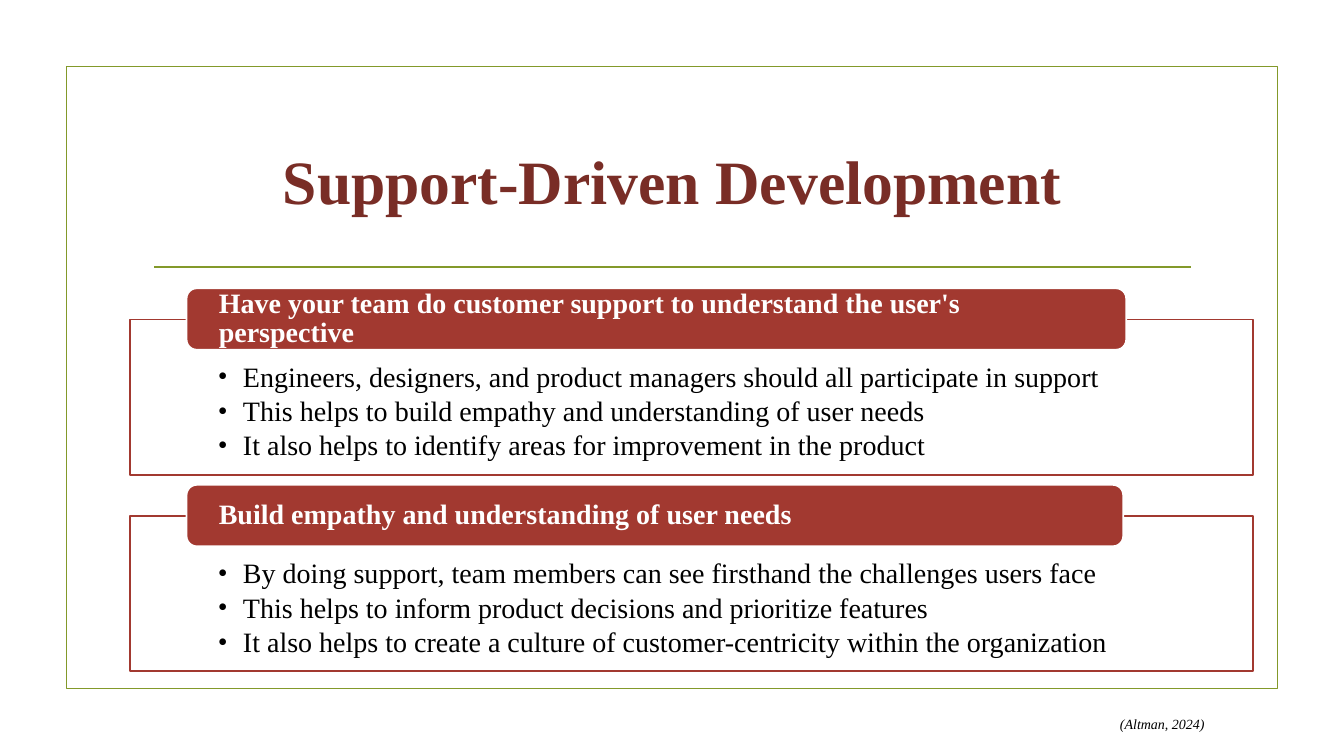
from lxml.etree import SubElement
from pptx import Presentation
from pptx.dml.color import RGBColor
from pptx.enum.shapes import MSO_CONNECTOR, MSO_SHAPE
from pptx.enum.text import MSO_ANCHOR, PP_ALIGN
from pptx.oxml.ns import qn
from pptx.util import Inches, Pt

COLORS = {
    "green": "83992A",
    "title": "792D26",
    "red": "A23930",
    "white": "FFFFFF",
    "black": "000000",
}
FONT = "Times New Roman"
LINE_WIDTH = Pt(1.25)
SECTION_TOP = 2.86
SECTION_STEP = 1.95
SECTIONS = [
    (
        "Have your team do customer support to understand the user's perspective",
        9.32,
        [
            "Engineers, designers, and product managers should all participate in support",
            "This helps to build empathy and understanding of user needs",
            "It also helps to identify areas for improvement in the product",
        ],
    ),
    (
        "Build empathy and understanding of user needs",
        9.29,
        [
            "By doing support, team members can see firsthand the challenges users face",
            "This helps to inform product decisions and prioritize features",
            "It also helps to create a culture of customer-centricity within the organization",
        ],
    ),
]


def rgb(name):
    """Return the named colour."""
    return RGBColor.from_string(COLORS[name])


def style_font(paragraph, size, color, bold=False, italic=False):
    """Set the font of a whole paragraph."""
    font = paragraph.font
    font.name, font.size = FONT, Pt(size)
    font.bold, font.italic = bold, italic
    font.color.rgb = rgb(color)


def set_frame(shape, anchor, left, top, right, bottom):
    """Set wrapping, anchor and insets, and return the text frame."""
    frame = shape.text_frame
    frame.word_wrap = True
    frame.vertical_anchor = anchor
    frame.margin_left, frame.margin_top = Inches(left), Inches(top)
    frame.margin_right, frame.margin_bottom = Inches(right), Inches(bottom)
    return frame


def add_box(slide, kind, left, top, width, height, line, fill=None):
    """Add a preset shape with an outline and an optional fill."""
    shape = slide.shapes.add_shape(
        kind, Inches(left), Inches(top), Inches(width), Inches(height)
    )
    shape.shadow.inherit = False
    shape.line.color.rgb = rgb(line)
    shape.line.width = LINE_WIDTH
    if fill:
        shape.fill.solid()
        shape.fill.fore_color.rgb = rgb(fill)
    else:
        shape.fill.background()
    return shape


def add_rule(slide, left, right, y):
    """Add the horizontal line under the title."""
    rule = slide.shapes.add_connector(
        MSO_CONNECTOR.STRAIGHT, Inches(left), Inches(y), Inches(right), Inches(y)
    )
    rule.line.color.rgb = rgb("green")
    rule.line.width = LINE_WIDTH
    SubElement(rule._element.spPr, qn("a:effectLst"))


def add_label(slide, text, left, top, width, height, anchor, inset, align, **font):
    """Add a text box with one paragraph."""
    box = slide.shapes.add_textbox(
        Inches(left), Inches(top), Inches(width), Inches(height)
    )
    frame = set_frame(box, anchor, 0.1, inset, 0.1, inset)
    paragraph = frame.paragraphs[0]
    paragraph.text = text
    paragraph.alignment = align
    style_font(paragraph, **font)


def add_bullet(paragraph):
    """Give a paragraph a black bullet and a hanging indent."""
    properties = paragraph._p.get_or_add_pPr()
    properties.set("marL", str(Inches(0.25)))
    properties.set("indent", str(Inches(-0.25)))
    color = SubElement(properties, qn("a:buClr"))
    SubElement(color, qn("a:srgbClr"), val=COLORS["black"])
    SubElement(properties, qn("a:buFont"), typeface=FONT)
    SubElement(properties, qn("a:buChar"), char="•")


def add_section(slide, top, heading, heading_width, points):
    """Add an outlined list with a heading bar across its top edge."""
    panel = add_box(
        slide, MSO_SHAPE.RECTANGLE, 1.29, top + 0.31, 11.14, 1.54, "red", "white"
    )
    fill_color = panel._element.spPr.find(qn("a:solidFill"))[0]
    SubElement(fill_color, qn("a:alpha"), val="90000")
    frame = set_frame(panel, MSO_ANCHOR.TOP, 0.87, 0.43, 0.86, 0.16)
    for index, point in enumerate(points):
        paragraph = frame.add_paragraph() if index else frame.paragraphs[0]
        paragraph.text = point
        paragraph.level = 1
        paragraph.alignment = PP_ALIGN.LEFT
        paragraph.line_spacing = 0.9
        paragraph.space_before = Pt(3 if index else 0)
        add_bullet(paragraph)
        style_font(paragraph, 20, "black")

    bar = add_box(
        slide, MSO_SHAPE.ROUNDED_RECTANGLE, 1.85, top, heading_width, 0.61,
        "white", "red",
    )
    paragraph = set_frame(bar, MSO_ANCHOR.MIDDLE, 0.29, 0, 0.29, 0).paragraphs[0]
    paragraph.text = heading
    paragraph.alignment = PP_ALIGN.LEFT
    paragraph.line_spacing = 0.86
    style_font(paragraph, 20, "white", bold=True)


def main():
    """Build the slide and save it."""
    presentation = Presentation()
    presentation.slide_width = Inches(13.33)
    presentation.slide_height = Inches(7.5)
    slide = presentation.slides.add_slide(presentation.slide_layouts[6])

    add_box(slide, MSO_SHAPE.RECTANGLE, 0.66, 0.66, 12.01, 6.17, "green")
    add_rule(slide, 1.53, 11.81, 2.65)
    add_label(
        slide, "Support-Driven Development", 1.42, 1.07, 10.5, 1.43,
        MSO_ANCHOR.MIDDLE, 0.05, PP_ALIGN.CENTER, size=44, color="title", bold=True,
    )
    for index, (heading, heading_width, points) in enumerate(SECTIONS):
        top = SECTION_TOP + index * SECTION_STEP
        add_section(slide, top, heading, heading_width, points)
    add_label(
        slide, "(Altman, 2024)", 11.01, 7.01, 2.32, 0.37,
        MSO_ANCHOR.TOP, 0.1, PP_ALIGN.LEFT, size=10, color="black", italic=True,
    )
    presentation.save("out.pptx")


if __name__ == "__main__":
    main()
